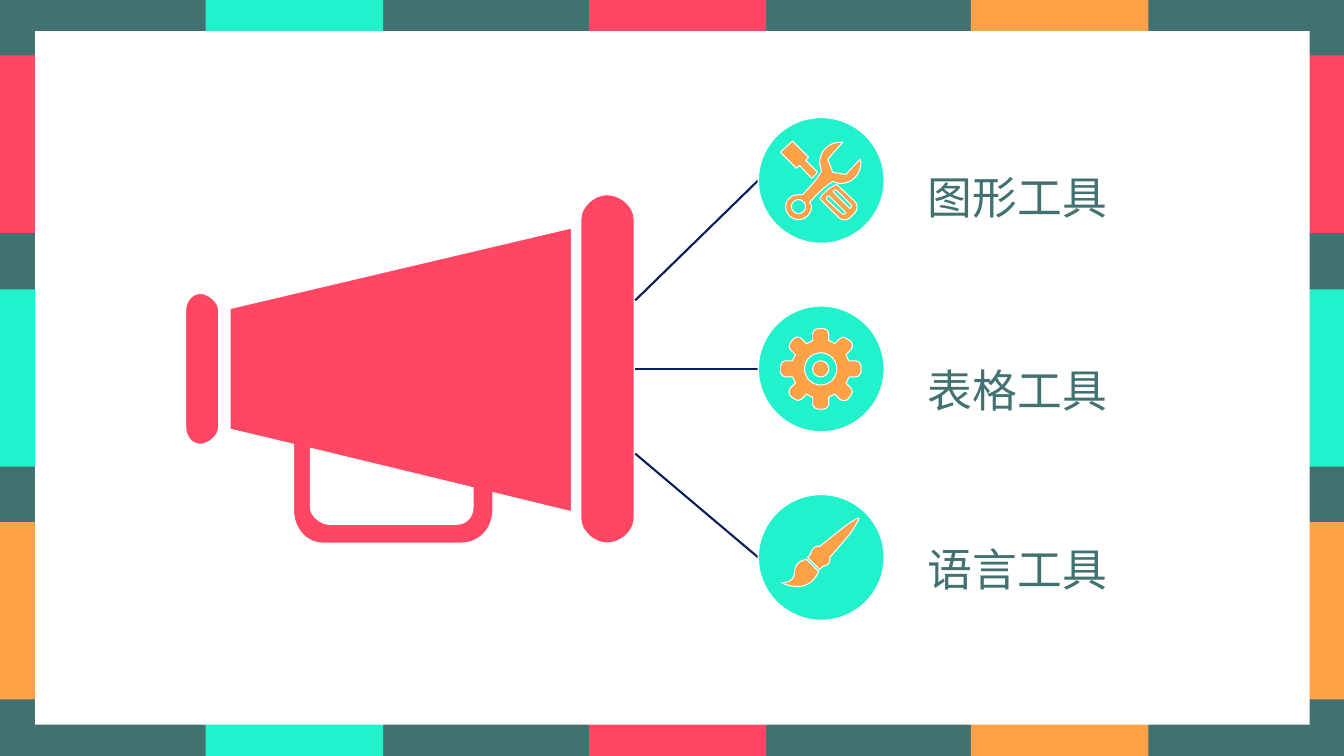
from dataclasses import dataclass

from lxml.etree import SubElement
from pptx import Presentation
from pptx.dml.color import RGBColor
from pptx.enum.shapes import MSO_CONNECTOR, MSO_SHAPE
from pptx.enum.text import MSO_AUTO_SIZE, PP_ALIGN
from pptx.oxml.ns import qn
from pptx.util import Inches, Pt


@dataclass(frozen=True)
class Theme:
    slate: str = "427172"
    mint: str = "22F2CC"
    rose: str = "FF4664"
    amber: str = "FFA146"
    white: str = "FFFFFF"
    navy: str = "081D59"
    font: str = "Noto Sans CJK SC"
    label_size: int = 32
    outline: float = 1
    icon_outline: float = 0.75
    beam: float = 1.5


def pairs(node):
    return list(zip(node[::2], node[1::2]))


def four_turns(x, y, quarter):
    contour = []
    for turn in range(4):
        for node in quarter if turn == 0 else quarter[1:]:
            contour.append(tuple(
                value for px, py in pairs(node) for value in (x + px, y + py)))
        quarter = [tuple(value for px, py in pairs(node) for value in (-py, px))
                   for node in quarter]
    return contour


def ring(x, y, radius):
    pull = radius * 0.55
    return four_turns(x, y, [
        (0, -radius), (pull, -radius, radius, -pull, radius, 0)])


def gear(x, y):
    teeth = four_turns(x, y, [
        (-0.08, -0.28), (-0.08, -0.35), (-0.08, -0.37, -0.06, -0.4, -0.03, -0.4),
        (0.03, -0.4), (0.06, -0.4, 0.08, -0.37, 0.08, -0.35), (0.08, -0.28),
        (0.1, -0.27, 0.12, -0.27, 0.14, -0.25), (0.19, -0.3),
        (0.21, -0.32, 0.24, -0.32, 0.26, -0.3), (0.3, -0.27),
        (0.32, -0.25, 0.32, -0.21, 0.3, -0.19), (0.25, -0.14),
        (0.26, -0.12, 0.27, -0.1, 0.28, -0.08)])
    return [teeth, ring(x, y, 0.16), ring(x, y, 0.08)]


MEGAPHONE = [
    [(6.02, 5.39), (5.89, 5.39, 5.76, 5.27, 5.76, 5.15), (5.76, 2.17),
     (5.76, 2.05, 5.89, 1.93, 6.02, 1.93), (6.16, 1.93, 6.29, 2.05, 6.29, 2.17),
     (6.29, 5.15), (6.29, 5.27, 6.16, 5.39, 6.02, 5.39)],
    [(4.89, 5.06), (4.89, 5.25, 4.75, 5.39, 4.58, 5.39), (3.2, 5.39),
     (3.04, 5.39, 2.91, 5.25, 2.91, 5.06), (2.91, 4.41), (2.28, 4.26),
     (2.28, 3.06), (5.67, 2.26), (5.67, 5.08), (4.89, 4.89)],
    [(4.69, 4.84), (3.08, 4.45), (3.08, 5.03),
     (3.08, 5.13, 3.2, 5.2, 3.26, 5.2), (4.53, 5.2),
     (4.62, 5.2, 4.69, 5.13, 4.69, 5.03)],
    [(1.99, 4.41), (1.9, 4.41, 1.84, 4.33, 1.84, 4.24), (1.84, 3.08),
     (1.84, 2.99, 1.9, 2.91, 1.99, 2.91), (2.06, 2.91, 2.17, 2.99, 2.17, 3.08),
     (2.17, 4.24), (2.17, 4.33, 2.06, 4.41, 1.99, 4.41)],
]
BRUSH = [
    [(8.52, 5.14), (8.52, 5.14, 8.5, 5.13, 8.37, 5.23), (8.13, 5.42),
     (8.09, 5.41, 8.07, 5.44, 8.07, 5.44), (8.03, 5.47, 8.05, 5.5, 8.04, 5.5),
     (8.01, 5.53), (8.13, 5.65), (8.16, 5.62),
     (8.19, 5.62, 8.22, 5.59, 8.22, 5.59), (8.22, 5.59, 8.24, 5.55, 8.23, 5.53),
     (8.31, 5.44, 8.42, 5.31, 8.42, 5.31), (8.46, 5.26, 8.53, 5.14, 8.52, 5.14)],
    [(7.88, 5.68), (7.88, 5.79, 7.75, 5.78, 7.75, 5.78),
     (7.75, 5.78, 8.01, 5.92, 8.12, 5.67), (8, 5.55),
     (8, 5.55, 7.88, 5.56, 7.88, 5.68)],
]
TOOLS = [
    [(8.26, 1.8), (8.28, 1.81, 8.31, 1.82, 8.34, 1.82),
     (8.45, 1.82, 8.54, 1.73, 8.54, 1.61), (8.54, 1.6, 8.54, 1.59, 8.53, 1.58),
     (8.39, 1.73), (8.26, 1.71), (8.21, 1.58), (8.36, 1.41), (8.34, 1.41),
     (8.22, 1.41, 8.13, 1.5, 8.13, 1.61), (8.13, 1.64, 8.14, 1.67, 8.15, 1.7),
     (8.09, 1.8, 7.99, 1.9, 7.96, 1.93), (7.95, 1.93, 7.93, 1.93, 7.92, 1.93),
     (7.85, 1.93, 7.79, 1.98, 7.79, 2.05), (7.79, 2.12, 7.85, 2.18, 7.92, 2.18),
     (7.99, 2.18, 8.05, 2.12, 8.05, 2.05), (8.05, 2.04, 8.04, 2.02, 8.03, 2.01),
     (8.06, 1.97, 8.14, 1.88, 8.26, 1.8)],
    ring(7.92, 2.05, 0.07),
    [(7.93, 1.64), (8.05, 1.77), (8.11, 1.71), (7.99, 1.59), (8.02, 1.56),
     (7.86, 1.4), (7.74, 1.51), (7.9, 1.67)],
    [(8.3, 1.83), (8.3, 1.83, 8.2, 1.86, 8.13, 1.97), (8.32, 2.16),
     (8.35, 2.19, 8.4, 2.19, 8.43, 2.16), (8.48, 2.11),
     (8.51, 2.08, 8.51, 2.03, 8.48, 2)],
    [(8.38, 2.12), (8.37, 2.13, 8.36, 2.13, 8.35, 2.12), (8.2, 1.98),
     (8.2, 1.97, 8.2, 1.96, 8.2, 1.95), (8.21, 1.94, 8.23, 1.94, 8.23, 1.95),
     (8.38, 2.1), (8.39, 2.1, 8.39, 2.12, 8.38, 2.12)],
    [(8.44, 2.06), (8.44, 2.07, 8.42, 2.07, 8.42, 2.06), (8.27, 1.91),
     (8.26, 1.91, 8.26, 1.89, 8.27, 1.89), (8.28, 1.88, 8.29, 1.88, 8.3, 1.89),
     (8.44, 2.03), (8.45, 2.04, 8.45, 2.05, 8.44, 2.06)],
]


class Painter:
    def __init__(self, page, theme):
        self.page = page
        self.theme = theme

    def finish(self, shape, fill, width):
        shape.shadow.inherit = False
        shape.fill.solid()
        shape.fill.fore_color.rgb = RGBColor.from_string(fill)
        if width:
            shape.line.color.rgb = RGBColor.from_string(self.theme.white)
            shape.line.width = Pt(width)
        else:
            shape.line.fill.background()

    def shape(self, parent, kind, area, fill, outline=0):
        shape = parent.shapes.add_shape(kind, *map(Inches, area))
        self.finish(shape, fill, outline)

    def outline(self, parent, contours, fill, width):
        builder = None
        for contour in contours:
            ends = [tuple(map(Inches, node[-2:])) for node in contour]
            if builder is None:
                builder = parent.shapes.build_freeform(*ends[0])
            else:
                builder.move_to(*ends[0])
            builder.add_line_segments(ends[1:], close=True)
        shape = builder.convert_to_shape()
        self.curve(shape, [node for contour in contours for node in contour])
        self.finish(shape, fill, width)

    def curve(self, shape, nodes):
        strokes = [stroke for stroke in next(shape._element.iter(qn("a:path")))
                   if stroke.tag != qn("a:close")]
        for node, stroke in zip(nodes, strokes):
            if len(node) == 2:
                continue
            bend = SubElement(stroke.getparent(), qn("a:cubicBezTo"))
            for x, y in pairs(node):
                SubElement(bend, qn("a:pt"), x=str(Inches(x) - shape.left),
                           y=str(Inches(y) - shape.top))
            stroke.getparent().replace(stroke, bend)

    def beam(self, *ends):
        line = self.page.shapes.add_connector(
            MSO_CONNECTOR.STRAIGHT, *map(Inches, ends))
        line.line.color.rgb = RGBColor.from_string(self.theme.navy)
        line.line.width = Pt(self.theme.beam)
        SubElement(line._element.spPr, qn("a:effectLst"))

    def badge(self, icon, *area):
        group = self.page.shapes.add_group_shape()
        self.shape(group, MSO_SHAPE.OVAL, area, self.theme.mint, self.theme.outline)
        self.outline(group, icon, self.theme.amber, self.theme.icon_outline)

    def label(self, text, *area):
        box = self.page.shapes.add_textbox(*map(Inches, area))
        frame = box.text_frame
        para = frame.paragraphs[0]
        span = para.add_run()
        span.text = text
        span.font.color.rgb = RGBColor.from_string(self.theme.slate)
        formats = {
            frame: {"word_wrap": True, "auto_size": MSO_AUTO_SIZE.SHAPE_TO_FIT_TEXT},
            para: {"alignment": PP_ALIGN.CENTER, "line_spacing": 1.3},
            span.font: {"size": Pt(self.theme.label_size), "name": self.theme.font},
        }
        for target, values in formats.items():
            for name, value in values.items():
                setattr(target, name, value)
        SubElement(span._r.get_or_add_rPr(), qn("a:ea"), typeface=self.theme.font)


def main():
    theme = Theme()
    deck = Presentation()
    deck.slide_width, deck.slide_height = Inches(13.33), Inches(7.5)
    page = deck.slides.add_slide(deck.slide_layouts[6])
    painter = Painter(page, theme)
    band = 1.76
    panels = [
        ((0, 0, 13.33, 7.5), theme.slate),
        ((0, 2.87, 13.33, band), theme.mint),
        ((0, 0.55, 13.33, band), theme.rose),
        ((0, 5.18, 13.33, band), theme.amber),
        ((2.04, 0, band, 7.5), theme.mint),
        ((5.84, 0, band, 7.5), theme.rose),
        ((9.63, 0, band, 7.5), theme.amber),
        ((0.35, 0.31, 12.64, 6.88), theme.white),
    ]
    for area, color in panels:
        painter.shape(page, MSO_SHAPE.RECTANGLE, area, color)
    painter.outline(page, MEGAPHONE, theme.rose, theme.outline)

    disc, disc_left, first_middle, pitch = 1.25, 7.52, 1.79, 1.87
    middles = [first_middle + index * pitch for index in range(3)]
    for start, middle in zip((2.98, 3.66, 4.5), middles):
        painter.beam(6.3, start, disc_left, middle)
    for icon, middle in zip((TOOLS, gear(8.14, 3.66), BRUSH), middles):
        painter.badge(icon, disc_left, middle - disc / 2, disc, disc)
    for text, top in (("图形工具", 1.47), ("表格工具", 3.39), ("语言工具", 5.17)):
        painter.label(text, 8.99, top, 2.2, 0.8)

    deck.save("out.pptx")


if __name__ == "__main__":
    main()
